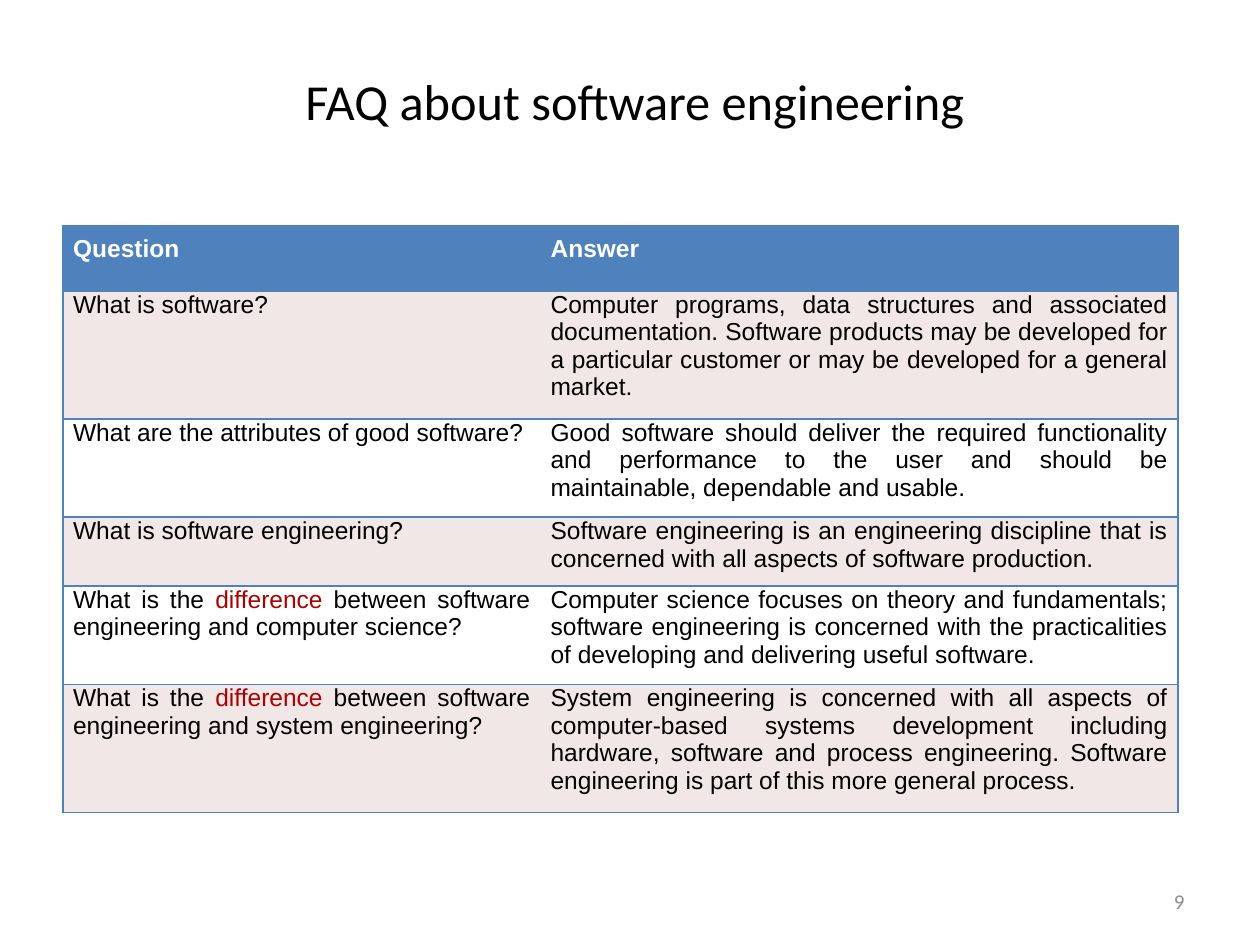
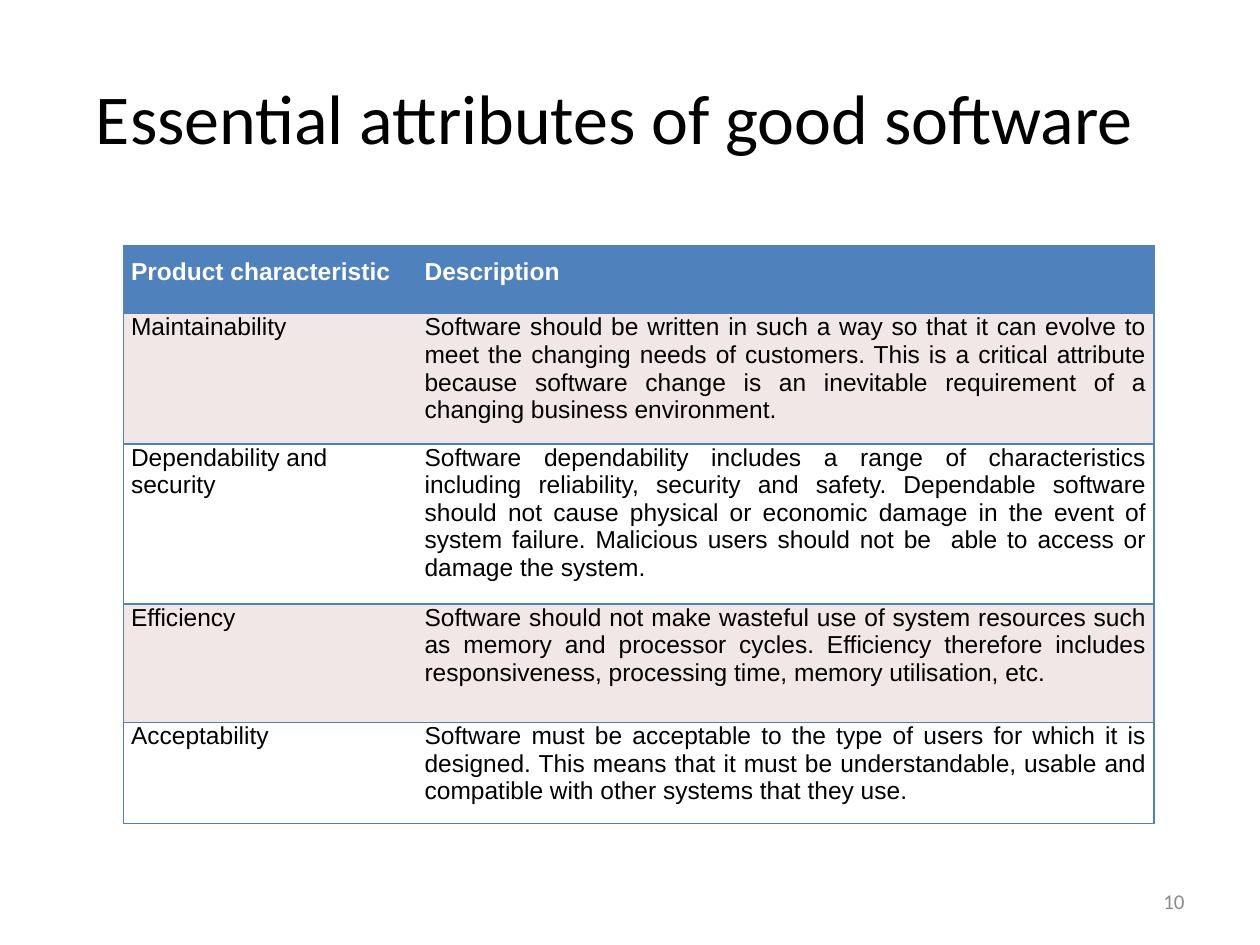
from dataclasses import dataclass

import pptx
import pptx.dml.color
import pptx.enum.text
import pptx.oxml
import pptx.oxml.ns
import pptx.util

Inches = pptx.util.Inches
Pt = pptx.util.Pt
RGB = pptx.dml.color.RGBColor.from_string
ALIGN = pptx.enum.text.PP_ALIGN
ANCHOR = pptx.enum.text.MSO_ANCHOR


@dataclass(frozen=True)
class Theme:
    heading_font: str = "Calibri"
    table_font: str = "Arial"
    ink: str = "000000"
    paper: str = "FFFFFF"
    accent: str = "4F81BD"
    band: str = "F1E7E7"
    emphasis: str = "AD0101"
    muted: str = "8C8C8C"
    table_size: float = 14
    number_size: float = 12
    border: float = 1


@dataclass(frozen=True)
class Title:
    text: str
    box: tuple[float, float, float, float]
    size: float
    bottom: float = 0.05


@dataclass(frozen=True)
class Grid:
    left: float
    top: float
    cols: list[float]
    heights: list[float]
    side: float  # left and right cell margins
    pad: float  # bottom margin, and top margin of the header
    rows: list[tuple[str, str]]  # *word* marks emphasis
    left_aligned: tuple[str, ...] = ()


@dataclass(frozen=True)
class Page:
    number: int
    title: Title
    grid: Grid


THEME = Theme()
NUMBER_BOX = (7.17, 6.95, 2.33, 0.4)


def add_run(p, text: str, font: str, size: float, color: str, bold: bool = False) -> None:
    r = p.add_run()
    r.text = text
    r.font.name, r.font.size, r.font.bold = font, Pt(size), bold
    r.font.color.rgb = RGB(color)


def add_text(s, box: tuple[float, float, float, float], text: str, size: float,
             color: str, align: ALIGN, bottom: float = 0.05) -> None:
    tf = s.shapes.add_textbox(*map(Inches, box)).text_frame
    tf.word_wrap = True
    tf.vertical_anchor = ANCHOR.MIDDLE
    tf.margin_bottom = Inches(bottom)
    p = tf.paragraphs[0]
    p.alignment = align
    add_run(p, text, THEME.heading_font, size, color)


def set_borders(cell, open_side: str) -> None:
    """Rule every side of the cell except the one facing the other column."""
    tc_pr = cell._tc.get_or_add_tcPr()
    ns = pptx.oxml.ns.nsdecls("a")
    for i, side in enumerate("LRTB"):
        fill = ("<a:noFill/>" if side == open_side else
                f'<a:solidFill><a:srgbClr val="{THEME.accent}"/></a:solidFill>')
        tc_pr.insert(i, pptx.oxml.parse_xml(
            f'<a:ln{side} {ns} w="{Pt(THEME.border)}">{fill}</a:ln{side}>'))


def add_grid(s, grid: Grid) -> None:
    table = s.shapes.add_table(
        len(grid.rows), len(grid.cols), Inches(grid.left), Inches(grid.top),
        Inches(sum(grid.cols)), Inches(sum(grid.heights))).table
    for col, width in zip(table.columns, grid.cols):
        col.width = Inches(width)
    for i, (row, height, texts) in enumerate(zip(table.rows, grid.heights, grid.rows)):
        row.height = Inches(height)
        header = i == 0
        fill = THEME.accent if header else THEME.band if i % 2 else THEME.paper
        ink = THEME.paper if header else THEME.ink
        for cell, text, open_side in zip(row.cells, texts, "RL"):
            cell.margin_left = cell.margin_right = Inches(grid.side)
            cell.margin_top = Inches(grid.pad if header else 0)
            cell.margin_bottom = Inches(grid.pad)
            cell.fill.solid()
            cell.fill.fore_color.rgb = RGB(fill)
            set_borders(cell, open_side)
            p = cell.text_frame.paragraphs[0]
            p.alignment = ALIGN.LEFT if text in grid.left_aligned else ALIGN.JUSTIFY
            for n, part in enumerate(text.split("*")):
                add_run(p, part, THEME.table_font, THEME.table_size,
                        THEME.emphasis if n % 2 else ink, header)


def add_page(prs, page: Page) -> None:
    s = prs.slides.add_slide(prs.slide_layouts[6])
    title = page.title
    add_text(s, title.box, title.text, title.size, THEME.ink, ALIGN.CENTER, title.bottom)
    add_text(s, NUMBER_BOX, str(page.number), THEME.number_size, THEME.muted, ALIGN.RIGHT)
    add_grid(s, page.grid)


# Content
FAQ = Page(
    9,
    Title("FAQ about software engineering", (0.5, 0.5, 9.08, 1.09), 28.8, bottom=0.54),
    Grid(
        0.5, 1.79, [3.79, 5.06], [0.52, 1.01, 0.78, 0.54, 0.78, 1.01], 0.08, 0.08,
        [
            ("Question", "Answer"),
            ("What is software?",
             "Computer programs, data structures and associated documentation. Software "
             "products may be developed for a particular customer or may be developed for "
             "a general market."),
            ("What are the attributes of good software?",
             "Good software should deliver the required functionality and performance to "
             "the user and should be maintainable, dependable and usable."),
            ("What is software engineering?",
             "Software engineering is an engineering discipline that is concerned with "
             "all aspects of software production."),
            ("What is the *difference* between software engineering and computer science?",
             "Computer science focuses on theory and fundamentals; software engineering "
             "is concerned with the practicalities of developing and delivering useful "
             "software."),
            ("What is the *difference* between software engineering and system engineering?",
             "System engineering is concerned with all aspects of computer-based systems "
             "development including hardware, software and process engineering. Software "
             "engineering is part of this more general process."),
        ]))

ATTRIBUTES = Page(
    10,
    Title("Essential attributes of good software", (0.5, 0.3, 8.75, 1.25), 40),
    Grid(
        0.98, 1.95, [2.33, 5.85], [0.54, 1.03, 1.27, 0.94, 0.8], 0.06, 0.1,
        [
            ("Product characteristic", "Description"),
            ("Maintainability",
             "Software should be written in such a way so that it can evolve to meet the "
             "changing needs of customers. This is a critical attribute because software "
             "change is an inevitable requirement of a changing business environment."),
            ("Dependability and security",
             "Software dependability includes a range of characteristics including "
             "reliability, security and safety. Dependable software should not cause "
             "physical or economic damage in the event of system failure. Malicious users "
             "should not be  able to access or damage the system."),
            ("Efficiency",
             "Software should not make wasteful use of system resources such as memory "
             "and processor cycles. Efficiency therefore includes responsiveness, "
             "processing time, memory utilisation, etc."),
            ("Acceptability",
             "Software must be acceptable to the type of users for which it is designed. "
             "This means that it must be understandable, usable and compatible with other "
             "systems that they use."),
        ],
        left_aligned=("Dependability and security",)))

# Build
prs = pptx.Presentation()
prs.slide_width, prs.slide_height = Inches(10), Inches(7.5)
for page in (FAQ, ATTRIBUTES):
    add_page(prs, page)
prs.save("out.pptx")
